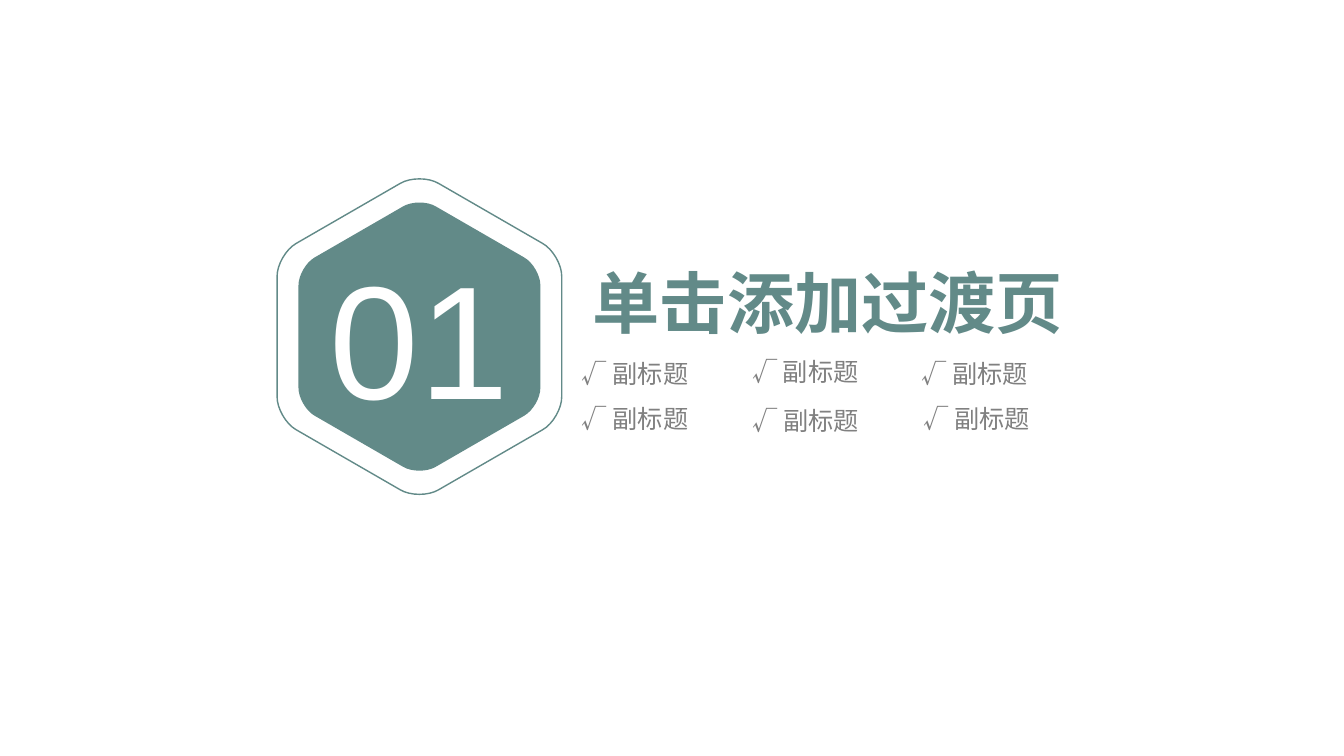
"""Build a section slide with a numbered hexagon, a title and six subtitles."""
from math import cos, pi, sin
from lxml.etree import SubElement
from pptx import Presentation
from pptx.dml.color import RGBColor
from pptx.enum.text import MSO_AUTO_SIZE, PP_ALIGN
from pptx.oxml.ns import qn
from pptx.util import Inches, Pt

COLORS = {"teal": "628A88", "white": "FFFFFF", "gray": "808080"}
CORNER = [(0.19, 1.52), (0.09, 1.58), (-0.09, 1.58), (-0.19, 1.52)]

deck = Presentation()
deck.slide_width = Inches(13.33)
deck.slide_height = Inches(7.5)
slide = deck.slides.add_slide(deck.slide_layouts[6])


def add_hexagon(scale):
    points = []
    for turn in range(6):
        angle = turn * pi / 3
        for x, y in CORNER:
            points.append((Inches(4.16 + scale * (x * cos(angle) - y * sin(angle))),
                           Inches(3.34 + scale * (x * sin(angle) + y * cos(angle)))))
    outline = slide.shapes.build_freeform(*points[0])
    outline.add_line_segments(points[1:], close=True)
    shape = outline.convert_to_shape()
    shape.shadow.inherit = False
    lines = list(shape.element.iter(qn("a:lnTo")))
    for start in range(0, len(lines), 4):
        trio = lines[start:start + 3]
        track = trio[0].getparent()
        curve = SubElement(track, qn("a:cubicBezTo"))
        track.replace(trio[0], curve)
        for line in trio:
            curve.append(line[0])
        for line in trio[1:]:
            track.remove(line)
    return shape


def add_text(text, box, size, color, wrap=False):
    shape = slide.shapes.add_textbox(*map(Inches, box))
    frame = shape.text_frame
    frame.text = text
    frame.word_wrap = wrap
    frame.auto_size = MSO_AUTO_SIZE.SHAPE_TO_FIT_TEXT
    font = frame.paragraphs[0].runs[0].font
    font.name = "Arial"
    font.size = Pt(size)
    font.color.rgb = RGBColor.from_string(COLORS[color])
    return frame


ring = add_hexagon(1)
ring.fill.background()
ring.line.color.rgb = RGBColor.from_string(COLORS["teal"])
ring.line.width = Pt(1)

badge = add_hexagon(0.85)
badge.fill.solid()
badge.fill.fore_color.rgb = RGBColor.from_string(COLORS["teal"])
badge.line.fill.background()

number = add_text("01", (3.16, 2.32, 2, 2.04), 115, "white")
number.paragraphs[0].alignment = PP_ALIGN.CENTER

title = add_text("单击添加过渡页", (5.78, 2.54, 4.91, 0.91), 48, "teal")
title.paragraphs[0].runs[0].font.bold = True

spots = [(5.7, 3.52, 1.41), (7.39, 3.51, 1.46), (9.07, 3.52, 1.59),
         (5.7, 3.97, 2.22), (7.39, 3.99, 2.22), (9.09, 3.97, 2.22)]
for left, top, width in spots:
    label = add_text("√ 副标题", (left, top, width, 0.37), 18, "gray", wrap=True)
    label.margin_left = label.margin_right = Inches(0.07)
    label.margin_top = label.margin_bottom = Inches(0.03)

deck.save("out.pptx")
